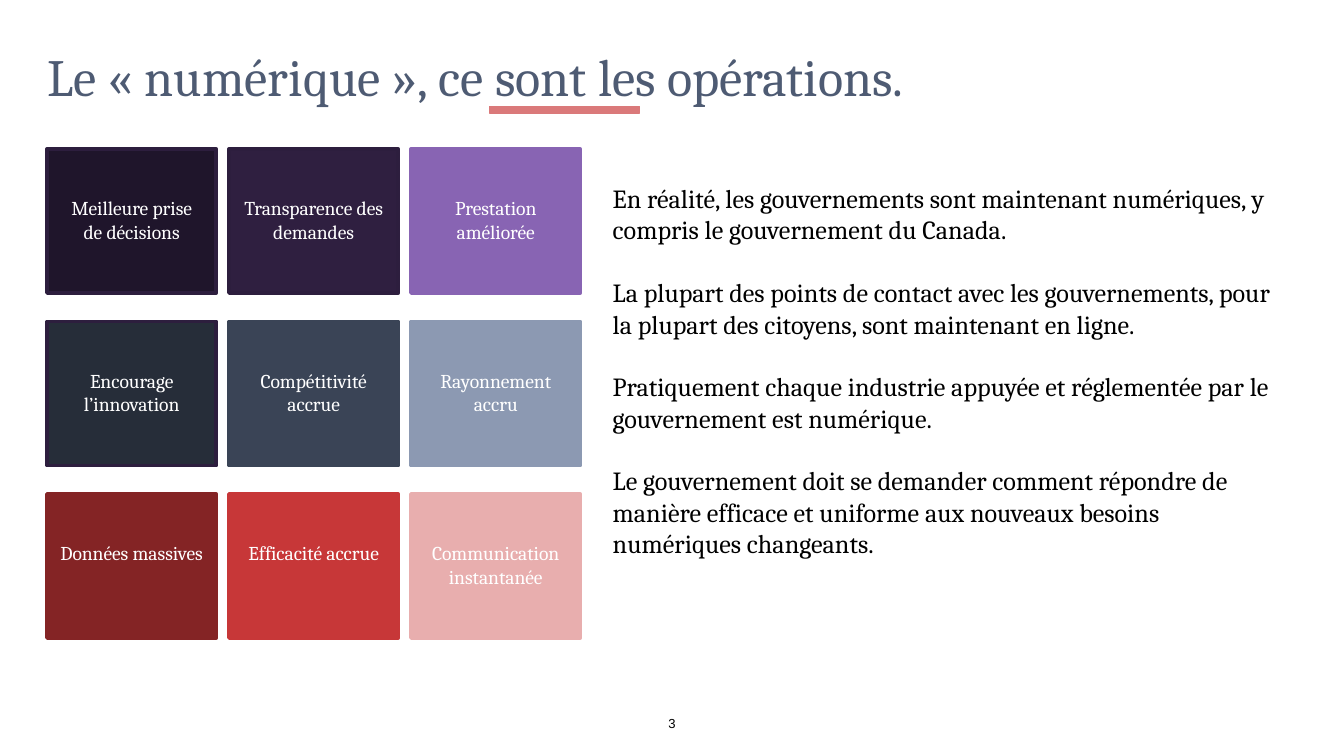
from pptx import Presentation
from pptx.dml.color import RGBColor
from pptx.enum.shapes import MSO_SHAPE
from pptx.enum.text import MSO_ANCHOR, MSO_AUTO_SIZE, PP_ALIGN
from pptx.util import Cm, Pt

BLACK = RGBColor(0x00, 0x00, 0x00)
WHITE = RGBColor(0xFF, 0xFF, 0xFF)
SLATE = RGBColor(0x4E, 0x5B, 0x73)
ROSE = RGBColor(0xDA, 0x79, 0x7A)
PLUM = RGBColor(0x2D, 0x1E, 0x3E)
PURPLE_DARK = RGBColor(0x1F, 0x15, 0x2B)
PURPLE_MID = RGBColor(0x2F, 0x1F, 0x40)
PURPLE_LIGHT = RGBColor(0x88, 0x64, 0xB3)
BLUE_DARK = RGBColor(0x26, 0x2D, 0x39)
BLUE_MID = RGBColor(0x3A, 0x44, 0x56)
BLUE_LIGHT = RGBColor(0x8C, 0x99, 0xB2)
RED_DARK = RGBColor(0x84, 0x24, 0x25)
RED_MID = RGBColor(0xC7, 0x37, 0x38)
RED_LIGHT = RGBColor(0xE8, 0xAE, 0xAE)

TITLE = "Le «\u00a0numérique\u00a0», ce sont les opérations."
PAGE_NUMBER = "3"
ARGUMENTS = [
    "En réalité, les gouvernements sont maintenant numériques, y compris le gouvernement du Canada.",
    "La plupart des points de contact avec les gouvernements, pour la plupart des citoyens, "
    "sont maintenant en ligne.",
    "Pratiquement chaque industrie appuyée et réglementée par le gouvernement est numérique.",
    "Le gouvernement doit se demander comment répondre de manière efficace et uniforme "
    "aux nouveaux besoins numériques changeants.",
]
# Rows of benefits: label, fill, border
BENEFITS = [
    [("Meilleure prise de décisions", PURPLE_DARK, PLUM),
     ("Transparence des demandes", PURPLE_MID, PLUM),
     ("Prestation améliorée", PURPLE_LIGHT, PURPLE_LIGHT)],
    [("Encourage l’innovation", BLUE_DARK, PLUM),
     ("Compétitivité accrue", BLUE_MID, BLUE_MID),
     ("Rayonnement accru", BLUE_LIGHT, BLUE_LIGHT)],
    [("Données massives", RED_DARK, RED_DARK),
     ("Efficacité accrue", RED_MID, RED_MID),
     ("Communication instantanée", RED_LIGHT, RED_LIGHT)],
]

GRID_LEFT, GRID_TOP = 0.89, 2.82
TILE_WIDTH, TILE_HEIGHT = 3.2, 2.72
COLUMN_STEP, ROW_STEP = 3.44, 3.26
LABEL_DROP, LABEL_HEIGHT = 0.76, 1.6

TITLE_FONT = {"name": "Cambria", "size": Pt(28)}
BODY_FONT = {"name": "Cambria", "size": Pt(14)}
LABEL_FONT = {"name": "Cambria", "size": Pt(10.5)}
NUMBER_FONT = {"name": "Arial", "size": Pt(7)}


def write(shape, paragraphs, font, color, inset=(0, 0), anchor=MSO_ANCHOR.TOP,
          align=PP_ALIGN.LEFT, gap=0, line_spacing=None):
    """Fill a shape with text; inset is (horizontal, vertical) in cm, gap in points."""
    frame = shape.text_frame
    across, down = (Cm(value) for value in inset)
    frame_format = {
        "word_wrap": True, "auto_size": MSO_AUTO_SIZE.NONE, "vertical_anchor": anchor,
        "margin_left": across, "margin_right": across,
        "margin_top": down, "margin_bottom": down,
    }
    for name, value in frame_format.items():
        setattr(frame, name, value)
    for index, text in enumerate(paragraphs):
        paragraph = frame.add_paragraph() if index else frame.paragraphs[0]
        paragraph.alignment = align
        paragraph.line_spacing = line_spacing
        paragraph.space_before = Pt(gap if index else 0)
        run = paragraph.add_run()
        run.text = text
        for name, value in font.items():
            setattr(run.font, name, value)
        run.font.color.rgb = color


def add_rectangle(slide, box, fill, border, border_width):
    rectangle = slide.shapes.add_shape(MSO_SHAPE.RECTANGLE, *map(Cm, box))
    rectangle.shadow.inherit = False
    rectangle.fill.solid()
    rectangle.fill.fore_color.rgb = fill
    rectangle.line.color.rgb = border
    rectangle.line.width = Pt(border_width)


def add_text(slide, box, *args, **options):
    write(slide.shapes.add_textbox(*map(Cm, box)), *args, **options)


def main():
    presentation = Presentation()
    presentation.slide_width, presentation.slide_height = Cm(25.4), Cm(14.29)
    slide = presentation.slides.add_slide(presentation.slide_layouts[5])

    title = slide.shapes.title
    title.left, title.top, title.width, title.height = map(Cm, (0.89, -0.23, 23.62, 2.26))
    write(title, [TITLE], TITLE_FONT, SLATE, anchor=MSO_ANCHOR.BOTTOM, line_spacing=0.9)

    add_text(slide, (12.28, 13.46, 0.84, 0.41), [PAGE_NUMBER], NUMBER_FONT, BLACK,
             anchor=MSO_ANCHOR.MIDDLE, align=PP_ALIGN.CENTER)
    add_text(slide, (11.33, 3.2, 13.18, 8.48), ARGUMENTS, BODY_FONT, BLACK,
             inset=(0.25, 0.25), gap=16.8)
    add_rectangle(slide, (9.25, 2.01, 2.84, 0.13), ROSE, ROSE, 0.75)

    for row, benefits in enumerate(BENEFITS):
        for column, (label, fill, border) in enumerate(benefits):
            left = GRID_LEFT + column * COLUMN_STEP
            top = GRID_TOP + row * ROW_STEP
            add_rectangle(slide, (left, top, TILE_WIDTH, TILE_HEIGHT), fill, border, 2)
            add_text(slide, (left, top + LABEL_DROP, TILE_WIDTH, LABEL_HEIGHT), [label],
                     LABEL_FONT, WHITE, inset=(0.25, 0.13), align=PP_ALIGN.CENTER)

    presentation.save("out.pptx")


if __name__ == "__main__":
    main()
